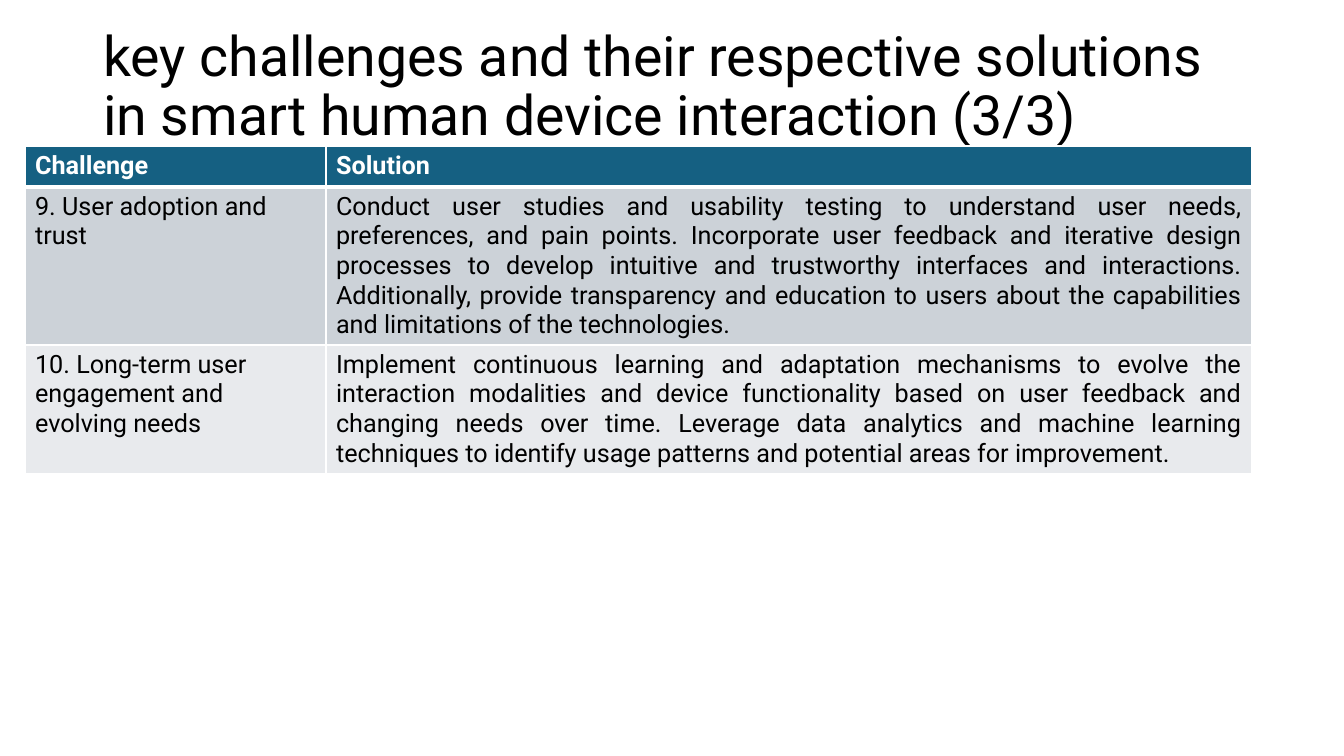
from dataclasses import dataclass

from lxml import etree
from pptx import Presentation
from pptx import util as u
from pptx.dml.color import RGBColor
from pptx.enum import text
from pptx.oxml.ns import qn

# Content
TITLE = ("key challenges and their respective solutions "
         "in smart human device interaction (3/3)")
ROWS = [
    ("Challenge", "Solution"),
    ("9. User adoption and trust",
     "Conduct user studies and usability testing to understand user needs, "
     "preferences, and pain points. Incorporate user feedback and iterative "
     "design processes to develop intuitive and trustworthy interfaces and "
     "interactions. Additionally, provide transparency and education to users "
     "about the capabilities and limitations of the technologies."),
    ("10. Long-term user engagement and evolving needs",
     "Implement continuous learning and adaptation mechanisms to evolve the "
     "interaction modalities and device functionality based on user feedback "
     "and changing needs over time. Leverage data analytics and machine "
     "learning techniques to identify usage patterns and potential areas for "
     "improvement."),
]

# Layout in px
SLIDE = (1344, 756)
TITLE_BOX = (93, 15, 1159, 146)
TABLE_AT = (25, 146)
COLS = (301, 926)
HEIGHTS = (41, 158, 128)


@dataclass(frozen=True)
class Theme:
    font: str = "Roboto"
    title: float = 39.6
    body: int = 18
    ink: str = "000000"
    white: str = "FFFFFF"
    head: str = "156082"
    bands: tuple = ("CCD2D8", "E8EAED")


THEME = Theme()


def px(n):
    return u.Emu(round(n * 914400 / 100.8))


def style(par, size, color, bold=False):
    par.font.name = THEME.font
    par.font.size = u.Pt(size)
    par.font.bold = bold
    par.font.color.rgb = RGBColor.from_string(color)


def border(cell, low):
    """Draw white cell edges; low is the bottom width in points."""
    props = cell._tc.get_or_add_tcPr()
    widths = {"lnL": 1, "lnR": 1, "lnT": 1, "lnB": low}
    for spot, (tag, wide) in enumerate(widths.items()):
        line = etree.Element(qn("a:" + tag), w=str(u.Pt(wide)))
        fill = etree.SubElement(line, qn("a:solidFill"))
        etree.SubElement(fill, qn("a:srgbClr"), val=THEME.white)
        props.insert(spot, line)


def add_title(slide):
    box = slide.shapes.title
    box.left, box.top, box.width, box.height = map(px, TITLE_BOX)
    frame = box.text_frame
    frame.text = TITLE
    frame.word_wrap = True
    frame.auto_size = text.MSO_AUTO_SIZE.NONE
    frame.vertical_anchor = text.MSO_ANCHOR.MIDDLE
    par = frame.paragraphs[0]
    par.alignment = text.PP_ALIGN.LEFT
    par.line_spacing = 0.9
    style(par, THEME.title, THEME.ink)


def add_grid(slide):
    size = (sum(COLS), sum(HEIGHTS))
    grid = slide.shapes.add_table(
        len(ROWS), len(COLS), *map(px, TABLE_AT + size)).table
    for col, wide in zip(grid.columns, COLS):
        col.width = px(wide)
    for r, (row, high) in enumerate(zip(ROWS, HEIGHTS)):
        grid.rows[r].height = px(high)
        head = r == 0
        fill = THEME.head if head else THEME.bands[(r - 1) % 2]
        for c, words in enumerate(row):
            cell = grid.cell(r, c)
            cell.text = words
            cell.fill.solid()
            cell.fill.fore_color.rgb = RGBColor.from_string(fill)
            border(cell, 3 if head else 1)
            par = cell.text_frame.paragraphs[0]
            if c and not head:
                par.alignment = text.PP_ALIGN.JUSTIFY
            style(par, THEME.body, THEME.white if head else THEME.ink, head)


def main():
    deck = Presentation()
    deck.slide_width, deck.slide_height = map(px, SLIDE)
    slide = deck.slides.add_slide(deck.slide_layouts[5])
    add_title(slide)
    add_grid(slide)
    deck.save("out.pptx")


if __name__ == "__main__":
    main()
